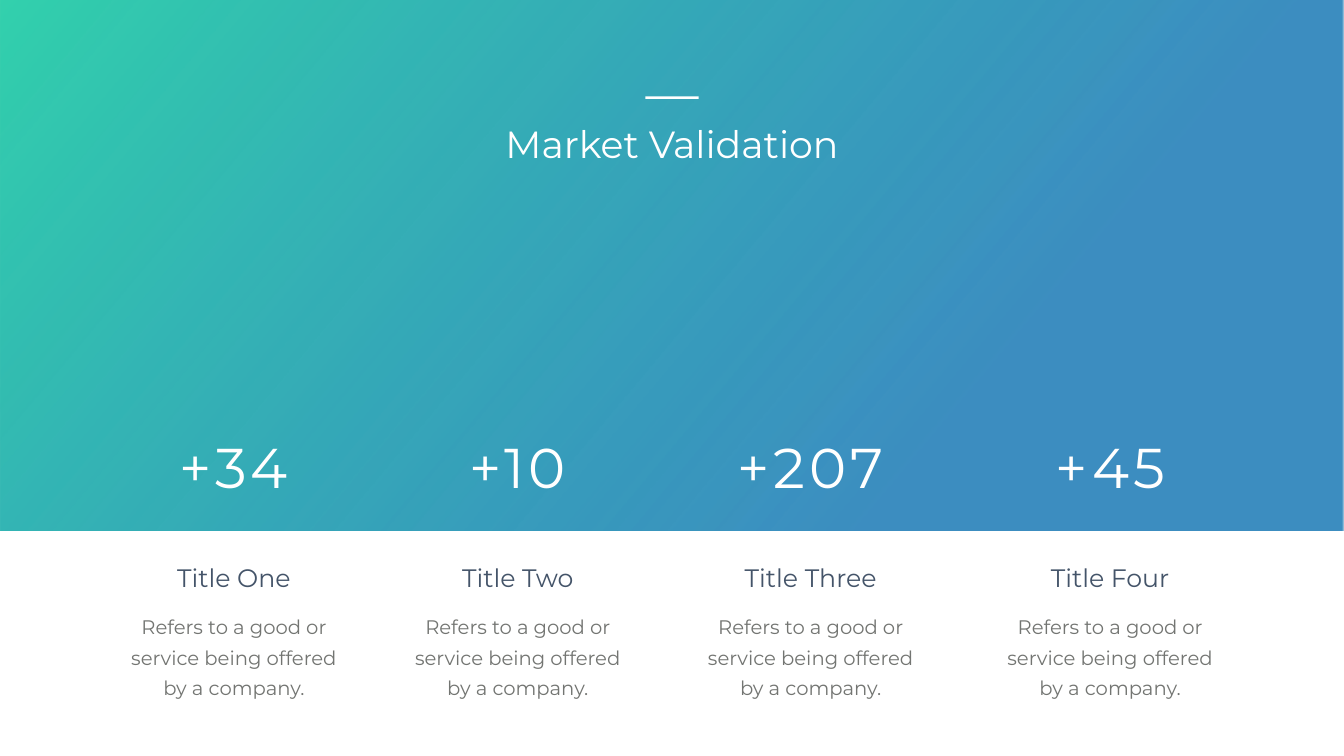
import pptx
import pptx.dml.color
import pptx.enum.shapes
import pptx.enum.text
import pptx.oxml.ns
import pptx.util
from lxml import etree
from pptx.util import Inches

RGBColor = pptx.dml.color.RGBColor
WHITE = RGBColor(0xFF, 0xFF, 0xFF)
GREEN = RGBColor(0x33, 0xD1, 0xAD)
BLUE = RGBColor(0x0D, 0x73, 0xB2)
SLATE = RGBColor(0x44, 0x54, 0x69)
GREY = RGBColor(0x73, 0x75, 0x72)

FONT = "Montserrat"
DESCRIPTION = "Refers to a good or service being offered by a company."
# Centre of the column in inches, figure, heading
METRICS = [
    (4.64, "+34", "Title One"),
    (10.27, "+10", "Title Two"),
    (16.08, "+207", "Title Three"),
    (22.02, "+45", "Title Four"),
]


def add_rect(slide, left, top, width, height):
    sp = slide.shapes.add_shape(
        pptx.enum.shapes.MSO_SHAPE.RECTANGLE,
        Inches(left), Inches(top), Inches(width), Inches(height))
    sp.shadow.inherit = False
    sp.line.fill.background()
    return sp


def add_gradient_band(slide):
    sp = add_rect(slide, 0, 0, 26.66, 10.52)
    sp.fill.gradient()
    sp.fill.gradient_angle = 320
    start, end = sp.fill.gradient_stops
    start.color.rgb, start.position = GREEN, 0
    end.color.rgb, end.position = BLUE, 0.73
    end_color = sp._element.xpath(".//a:gs/a:srgbClr")[-1]
    etree.SubElement(end_color, pptx.oxml.ns.qn("a:alpha"), val="80000")


def write_centred(sp, text, size, color, wrap=True):
    """Fill the shape with one centred paragraph and return that paragraph."""
    tf = sp.text_frame
    tf.word_wrap = wrap
    tf.auto_size = pptx.enum.text.MSO_AUTO_SIZE.SHAPE_TO_FIT_TEXT
    tf.vertical_anchor = pptx.enum.text.MSO_ANCHOR.TOP
    p = tf.paragraphs[0]
    p.alignment = pptx.enum.text.PP_ALIGN.CENTER
    r = p.add_run()
    r.text = text
    r.font.name = FONT
    r.font.size = pptx.util.Pt(size)
    r.font.color.rgb = color
    return p


def add_box(slide, center, top, width, height):
    return slide.shapes.add_textbox(
        Inches(center - width / 2), Inches(top), Inches(width), Inches(height))


def add_metric(slide, center, figure, heading):
    p = write_centred(add_box(slide, center, 8.53, 3.4, 1.45), figure, 80, WHITE)
    p.runs[0].font._element.set("spc", "600")

    write_centred(add_box(slide, center, 11.1, 4.73, 0.71), heading, 36, SLATE)

    sp = add_box(slide, center, 11.96, 4.73, 2)
    tf = sp.text_frame
    tf.margin_left = tf.margin_right = Inches(0.24)
    tf.margin_top = tf.margin_bottom = Inches(0.12)
    p = write_centred(sp, DESCRIPTION, 28, GREY)
    p.line_spacing = pptx.util.Pt(43)


def add_title(slide):
    sp = slide.shapes.title
    sp.left, sp.top = Inches(9.86), Inches(2.34)
    sp.width, sp.height = Inches(6.94), Inches(1.01)
    write_centred(sp, "Market Validation", 54, WHITE, wrap=False)
    # The placeholder comes first in the tree, so lift it above the band
    slide.shapes._spTree.append(sp._element)

    rule = add_rect(slide, 12.8, 1.91, 1.06, 0.05)
    rule.fill.solid()
    rule.fill.fore_color.rgb = WHITE


def main():
    prs = pptx.Presentation()
    prs.slide_width = Inches(26.66)
    prs.slide_height = Inches(15)
    slide = prs.slides.add_slide(prs.slide_layouts[5])
    add_gradient_band(slide)
    for center, figure, heading in METRICS:
        add_metric(slide, center, figure, heading)
    add_title(slide)
    prs.save("out.pptx")


if __name__ == "__main__":
    main()
